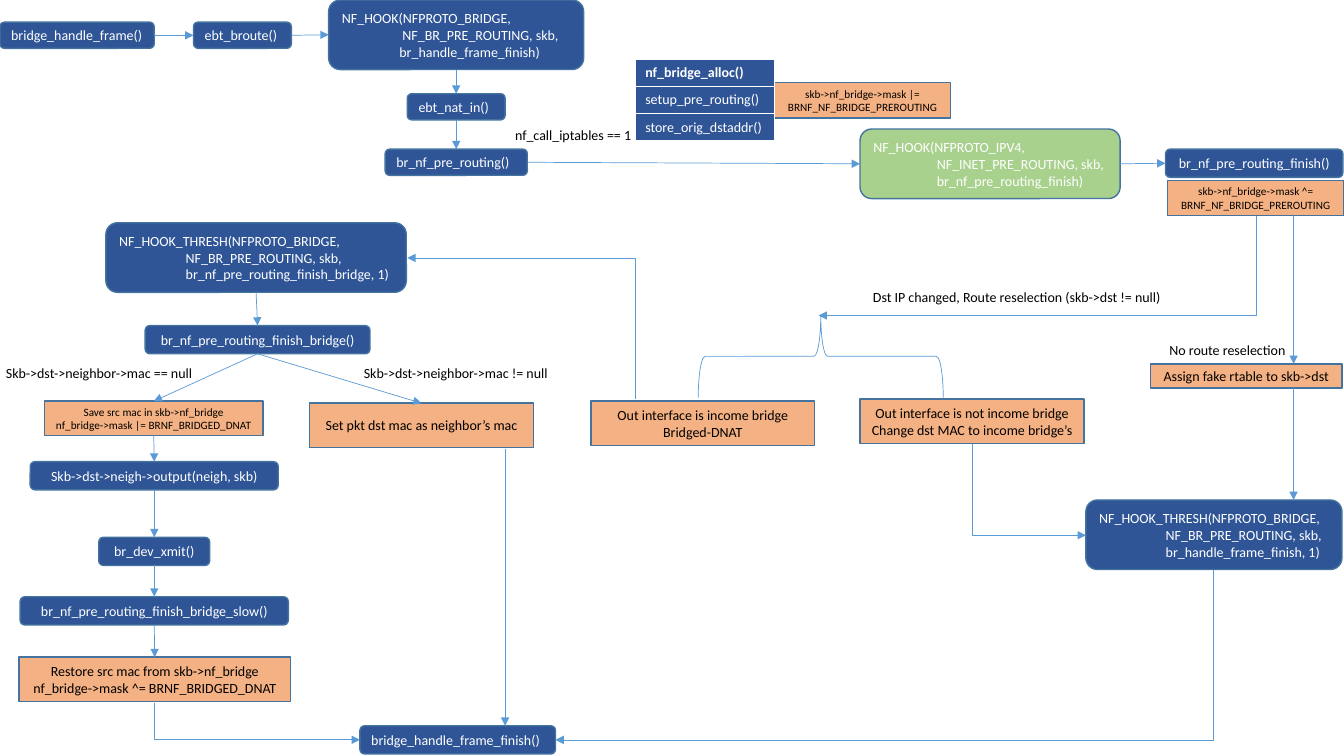
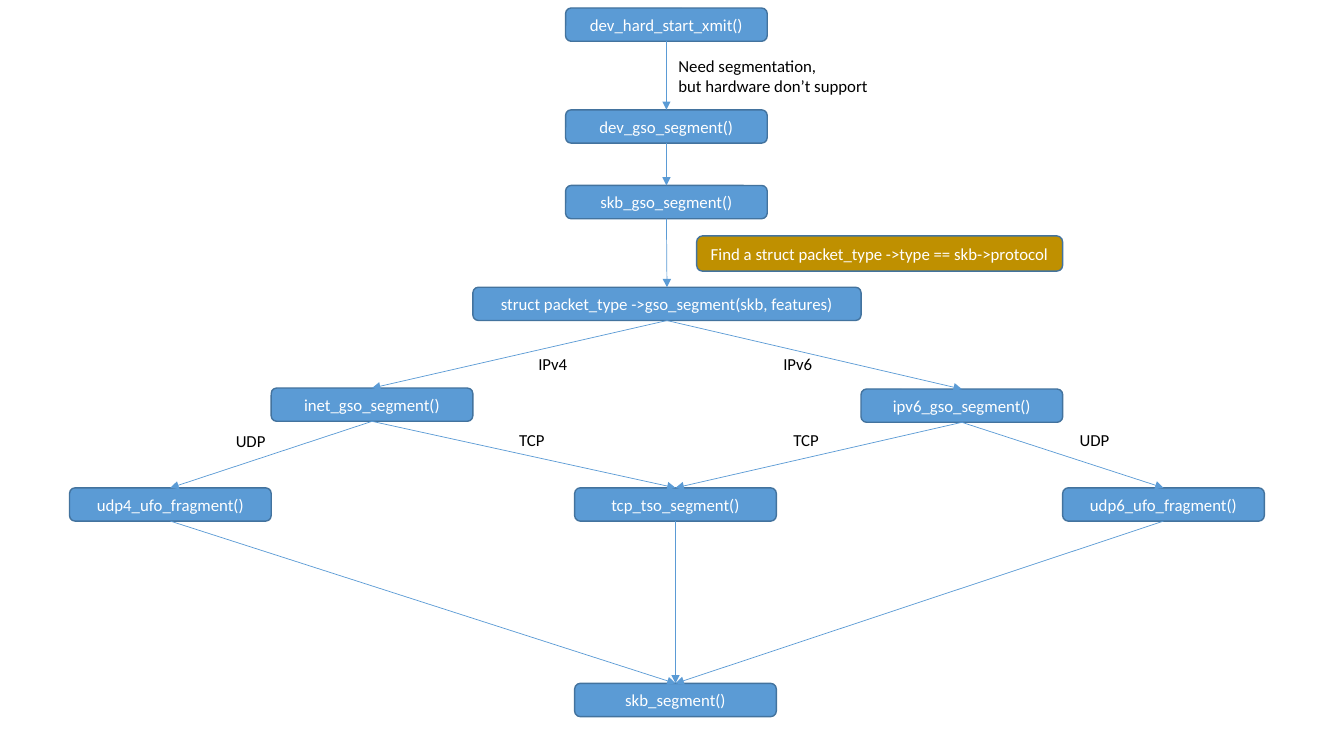
from dataclasses import dataclass

import pptx
import pptx.dml.color
import pptx.enum.shapes
import pptx.enum.text
import pptx.oxml
import pptx.oxml.ns
import pptx.util

Inches = pptx.util.Inches
Pt = pptx.util.Pt
Kind = pptx.enum.shapes.MSO_SHAPE
Wire = pptx.enum.shapes.MSO_CONNECTOR
Align = pptx.enum.text.PP_ALIGN
TOP, LEFT, BOTTOM, RIGHT = range(4)


@dataclass(frozen=True)
class Theme:
    font: str = "Calibri"
    navy: str = "2F5597"
    blue: str = "5B9BD5"
    green: str = "A9D18E"
    peach: str = "F4B183"
    gold: str = "BF9000"
    edge: str = "43739E"
    white: str = "FFFFFF"
    black: str = "000000"
    tiny: float = 8
    small: float = 10
    large: float = 12
    thin: float = 0.5
    rim: float = 1


THEME = Theme()


@dataclass(frozen=True)
class Box:
    x: float
    y: float
    w: float
    h: float
    lines: tuple[str, ...]
    fill: str = THEME.navy
    size: float = THEME.small
    left: bool = False
    tabs: tuple[float, ...] = ()  # left indent of each line

    @property
    def note(self) -> bool:
        return self.fill == THEME.peach


@dataclass(frozen=True)
class Label:
    x: float
    y: float
    w: float
    h: float
    lines: tuple[str, ...]
    size: float = THEME.small


@dataclass(frozen=True)
class Link:
    head: str
    out: int
    tail: str
    into: int


def rgb(code: str) -> pptx.dml.color.RGBColor:
    return pptx.dml.color.RGBColor.from_string(code)


def write(frame, lines, size, ink, align, tabs=()) -> None:
    for i, line in enumerate(lines):
        para = frame.paragraphs[0] if i == 0 else frame.add_paragraph()
        para.text = line
        para.alignment = align
        if i < len(tabs):
            props = para._p.get_or_add_pPr()
            props.set("marL", str(Inches(tabs[i])))
            props.set("indent", "0")
        para.font.name = THEME.font
        para.font.size = Pt(size)
        para.font.color.rgb = rgb(ink)


def place(item) -> tuple:
    return tuple(Inches(v) for v in (item.x, item.y, item.w, item.h))


def draw_box(slide, box: Box):
    kind = Kind.RECTANGLE if box.note else Kind.ROUNDED_RECTANGLE
    shape = slide.shapes.add_shape(kind, *place(box))
    shape.shadow.inherit = False
    shape.fill.solid()
    shape.fill.fore_color.rgb = rgb(box.fill)
    shape.line.color.rgb = rgb(THEME.edge)
    shape.line.width = Pt(THEME.rim)
    frame = shape.text_frame
    frame.word_wrap = True
    frame.vertical_anchor = pptx.enum.text.MSO_ANCHOR.MIDDLE
    write(frame, box.lines, box.size, THEME.black if box.note else THEME.white,
          Align.LEFT if box.left else Align.CENTER, box.tabs)
    return shape


def draw_label(slide, label: Label) -> None:
    frame = slide.shapes.add_textbox(*place(label)).text_frame
    frame.word_wrap = False
    frame.auto_size = pptx.enum.text.MSO_AUTO_SIZE.SHAPE_TO_FIT_TEXT
    write(frame, label.lines, label.size, THEME.black, Align.LEFT)


def add_part(node, tag: str, **attrs: str):
    part = pptx.oxml.parse_xml(f"<{tag} {pptx.oxml.ns.nsdecls('a')}/>")
    for key, value in attrs.items():
        part.set(key, value)
    node.append(part)
    return part


def draw_line(slide, ends: tuple[float, ...], bent: bool = False):
    kind = Wire.ELBOW if bent else Wire.STRAIGHT
    line = slide.shapes.add_connector(kind, *(Inches(v) for v in ends))
    line.line.color.rgb = rgb(THEME.blue)
    line.line.width = Pt(THEME.thin)
    add_part(line.line._get_or_add_ln(), "a:tailEnd", type="triangle")
    props = line._element.spPr
    add_part(props, "a:effectLst")
    if bent:  # turn at the start, so the line runs upright first
        guides = props.find(pptx.oxml.ns.qn("a:prstGeom")).get_or_add_avLst()
        add_part(guides, "a:gd", name="adj1", fmla="val 0")
    return line


def draw_flow(deck, boxes: dict[str, Box], links: list[Link], labels: list[Label]):
    slide = deck.slides.add_slide(deck.slide_layouts[6])
    shapes = {name: draw_box(slide, box) for name, box in boxes.items()}
    for link in links:
        line = draw_line(slide, (0, 0, 1, 1))
        line.begin_connect(shapes[link.head], link.out)
        line.end_connect(shapes[link.tail], link.into)
    for label in labels:
        draw_label(slide, label)
    return slide


def draw_calls(slide) -> None:
    calls = ("nf_bridge_alloc()", "setup_pre_routing()", "store_orig_dstaddr()")
    table = slide.shapes.add_table(
        len(calls), 1, Inches(6.3), Inches(0.59), Inches(1.38), Inches(0.81)).table
    for i, call in enumerate(calls):
        cell = table.cell(i, 0)
        cell.fill.solid()
        cell.fill.fore_color.rgb = rgb(THEME.navy)
        write(cell.text_frame, (call,), THEME.small, THEME.white, Align.LEFT)
        cell.text_frame.paragraphs[0].font.bold = i == 0


def draw_brace(slide) -> None:
    brace = slide.shapes.add_shape(
        Kind.LEFT_BRACE, Inches(7.73), Inches(2.32), Inches(0.82), Inches(2.43))
    brace.rotation = 90
    brace.shadow.inherit = False
    brace.fill.background()
    brace.line.color.rgb = rgb(THEME.blue)
    brace.line.width = Pt(THEME.thin)


def down(*names: str) -> list[Link]:
    return [Link(a, BOTTOM, b, TOP) for a, b in zip(names, names[1:])]


def across(*names: str) -> list[Link]:
    return [Link(a, RIGHT, b, LEFT) for a, b in zip(names, names[1:])]


def bridge_flow(deck) -> None:
    peach, tiny = THEME.peach, THEME.tiny
    thresh = "NF_HOOK_THRESH(NFPROTO_BRIDGE,"
    route = "NF_BR_PRE_ROUTING, skb,"
    deep = (0, 0.66, 0.66)
    boxes = {
        # Entry path
        "frame": Box(0, 0.22, 1.53, 0.26, ("bridge_handle_frame()",), left=True),
        "broute": Box(1.92, 0.22, 0.97, 0.26, ("ebt_broute()",), left=True),
        "hook": Box(3.26, 0, 2.53, 0.69,
                    ("NF_HOOK(NFPROTO_BRIDGE,", route, "br_handle_frame_finish)"),
                    left=True, tabs=(0, 0.6, 0.57)),
        "nat": Box(4.04, 0.93, 0.97, 0.26, ("ebt_nat_in()",), left=True),
        "pre": Box(3.82, 1.48, 1.41, 0.26, ("br_nf_pre_routing()",), left=True),
        "inet": Box(8.53, 1.28, 2.58, 0.69,
                    ("NF_HOOK(NFPROTO_IPV4,", "NF_INET_PRE_ROUTING, skb,",
                     "br_nf_pre_routing_finish)"),
                    THEME.green, left=True, tabs=(0, 0.63, 0.63)),
        "done": Box(11.56, 1.48, 1.76, 0.28, ("br_nf_pre_routing_finish()",)),
        "set": Box(7.68, 0.82, 1.75, 0.35,
                   ("skb->nf_bridge->mask |= BRNF_NF_BRIDGE_PREROUTING",), peach, tiny),
        "clear": Box(11.58, 1.79, 1.75, 0.35,
                     ("skb->nf_bridge->mask ^= BRNF_NF_BRIDGE_PREROUTING",), peach, tiny),
        # Route choice
        "fake": Box(11.41, 3.61, 1.9, 0.24, ("Assign fake rtable to skb->dst",), peach),
        "other": Box(8.53, 3.96, 2.22, 0.44,
                     ("Out interface is not income bridge",
                      "Change dst MAC to income bridge’s"), peach),
        "same": Box(5.86, 3.98, 2.22, 0.44,
                    ("Out interface is income bridge", "Bridged-DNAT"), peach),
        "last": Box(10.77, 4.96, 2.54, 0.69,
                    (thresh, route, "br_handle_frame_finish, 1)"), left=True, tabs=deep),
        # Bridged DNAT path
        "thresh": Box(1.05, 2.21, 2.98, 0.69,
                      (thresh, route, "br_nf_pre_routing_finish_bridge, 1)"),
                      left=True, tabs=deep),
        "bridge": Box(1.44, 3.23, 2.23, 0.28, ("br_nf_pre_routing_finish_bridge()",)),
        "mac": Box(3.07, 4, 2.22, 0.44, ("Set pkt dst mac as neighbor’s mac",), peach),
        "save": Box(0.44, 3.98, 2.17, 0.34,
                    ("Save src mac in skb->nf_bridge",
                     "nf_bridge->mask |= BRNF_BRIDGED_DNAT"), peach, tiny),
        "neigh": Box(0.3, 4.58, 2.46, 0.28, ("Skb->dst->neigh->output(neigh, skb)",)),
        "xmit": Box(0.98, 5.33, 1.1, 0.28, ("br_dev_xmit()",)),
        "slow": Box(0.2, 5.92, 2.66, 0.28, ("br_nf_pre_routing_finish_bridge_slow()",)),
        "back": Box(0.19, 6.52, 2.69, 0.44,
                    ("Restore src mac from skb->nf_bridge",
                     "nf_bridge->mask ^= BRNF_BRIDGED_DNAT"), peach),
        "end": Box(3.57, 7.2, 1.94, 0.28, ("bridge_handle_frame_finish()",), left=True),
    }
    links = (across("frame", "broute", "hook") + down("hook", "nat", "pre")
             + across("pre", "inet", "done") + down("thresh", "bridge", "mac")
             + down("bridge", "save", "neigh", "xmit", "slow", "back"))
    labels = [
        Label(5.01, 1.21, 1.39, 0.27, ("nf_call_iptables == 1",)),
        Label(11.5, 3.34, 1.37, 0.27, ("No route reselection",)),
        Label(8.56, 2.81, 3.1, 0.27,
              ("Dst IP changed, Route reselection (skb->dst != null)",)),
        Label(3.51, 3.57, 2.05, 0.27, ("Skb->dst->neighbor->mac != null",)),
        Label(-0.04, 3.57, 2.08, 0.27, ("Skb->dst->neighbor->mac == null",)),
    ]
    slide = draw_flow(deck, boxes, links, labels)
    draw_calls(slide)
    draw_brace(slide)
    # Lines that meet a box away from the middle of its side
    for x, top, base in ((12.83, 2.14, 3.61), (12.83, 3.85, 4.96), (5.01, 4.45, 7.2)):
        draw_line(slide, (x, top, x, base))
    for ends in ((6.3, 3.96, 4.04, 2.56), (1.53, 6.97, 3.57, 7.34),
                 (12.04, 5.65, 5.51, 7.34), (12.46, 2.14, 8.12, 3.13),
                 (9.64, 4.4, 10.77, 5.31)):
        draw_line(slide, ends, bent=True)


def segment_flow(deck) -> None:
    size = THEME.large

    def step(x: float, y: float, text: str, w: float = 2, h: float = 0.33,
             fill: str = THEME.blue) -> Box:
        return Box(x, y, w, h, (text,), fill, size)

    boxes = {
        "start": step(5.61, 0.08, "dev_hard_start_xmit()"),
        "dev": step(5.61, 1.09, "dev_gso_segment()"),
        "skb": step(5.61, 1.84, "skb_gso_segment()"),
        "find": step(6.91, 2.34, "Find a struct packet_type ->type == skb->protocol",
                     3.63, 0.35, THEME.gold),
        "type": step(4.69, 2.85, "struct packet_type ->gso_segment(skb, features)", 3.85),
        "inet": step(2.69, 3.85, "inet_gso_segment()"),
        "ipv6": step(8.54, 3.86, "ipv6_gso_segment()"),
        "udp4": step(0.69, 4.84, "udp4_ufo_fragment()"),
        "tcp": step(5.7, 4.84, "tcp_tso_segment()"),
        "udp6": step(10.54, 4.84, "udp6_ufo_fragment()"),
        "end": step(5.7, 6.78, "skb_segment()"),
    }
    links = (down("start", "dev", "skb", "type", "inet", "udp4", "end")
             + down("type", "ipv6", "udp6", "end")
             + down("inet", "tcp", "end") + down("ipv6", "tcp"))
    labels = [Label(6.63, 0.5, 2.1, 0.5,
                    ("Need segmentation,", "but hardware don’t support"), size)]
    labels += [Label(x, y, w, 0.3, (text,), size) for x, y, w, text in (
        (5.24, 3.46, 0.49, "IPv4"), (7.67, 3.46, 0.49, "IPv6"),
        (5.05, 4.21, 0.46, "TCP"), (7.77, 4.21, 0.46, "TCP"),
        (10.61, 4.21, 0.5, "UDP"), (2.24, 4.22, 0.5, "UDP"))]
    draw_flow(deck, boxes, links, labels)


def main() -> None:
    deck = pptx.Presentation()
    deck.slide_width, deck.slide_height = Inches(13.33), Inches(7.5)
    bridge_flow(deck)
    segment_flow(deck)
    deck.save("out.pptx")


if __name__ == "__main__":
    main()
